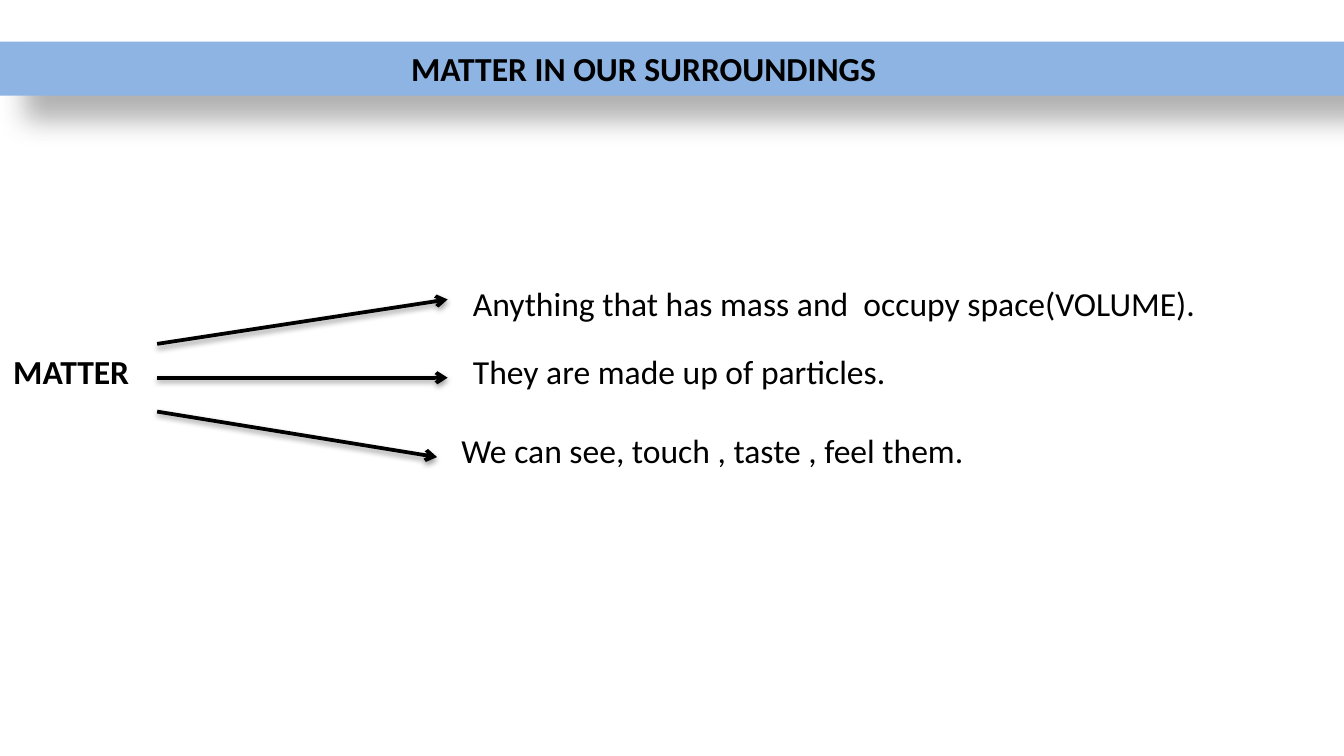
from dataclasses import dataclass

from lxml.etree import SubElement
from pptx import Presentation
from pptx.dml.color import RGBColor as RGB
from pptx.enum.shapes import MSO_CONNECTOR as Line, MSO_SHAPE as Shape
from pptx.enum.text import MSO_ANCHOR as Anchor, PP_ALIGN as Align
from pptx.oxml.ns import qn
from pptx.util import Cm, Pt

# Content
TITLE = "MATTER IN OUR SURROUNDINGS"
TOPIC = "MATTER"
# text, left, top, width of its box, then the arrow tip (cm)
FACTS = [
    ("Anything that has mass and  occupy space(VOLUME).", 8.69, 5.23, 15.67, (8.46, 5.66)),
    ("They are made up of particles.", 8.69, 6.5, 15.67, (8.46, 7.14)),
    ("We can see, touch , taste , feel them.", 8.47, 8, 16.08, (8.26, 8.64)),
]


@dataclass(frozen=True)
class Theme:
    font: str = "Calibri"
    size: Pt = Pt(18)
    ink: RGB = RGB(0, 0, 0)
    banner: RGB = RGB(0x8E, 0xB4, 0xE3)
    arrow: Pt = Pt(2)


THEME = Theme()
SLIDE_W, SLIDE_H = 25.4, 14.29
ROW_H = 1.02
TITLE_INDENT = 7.77
ARROW_X, ARROW_Y, ARROW_STEP = 2.97, 6.5, 0.64


def write(sp, text, bold=False):
    tf = sp.text_frame
    tf.word_wrap = True
    p = tf.paragraphs[0]
    p.text = text
    p.alignment = Align.LEFT
    p.font.name, p.font.size, p.font.bold = THEME.font, THEME.size, bold
    p.font.color.rgb = THEME.ink
    return tf


def add_label(text, left, top, width, bold=False):
    box = slide.shapes.add_textbox(Cm(left), Cm(top), Cm(width), Cm(ROW_H))
    write(box, text, bold)


def add_shadow(sp, opacity, blur, distance, angle):
    effects = SubElement(sp._element.spPr, qn("a:effectLst"))
    shadow = SubElement(effects, qn("a:outerShdw"), blurRad=str(Pt(blur)),
                        dist=str(Pt(distance)), dir=str(angle * 60000),
                        algn="tl", rotWithShape="0")
    color = SubElement(shadow, qn("a:srgbClr"), val=str(THEME.ink))
    SubElement(color, qn("a:alpha"), val=str(opacity * 1000))


def add_arrow(start, tip):
    arrow = slide.shapes.add_connector(Line.STRAIGHT, *map(Cm, start + tip))
    arrow.line.color.rgb = THEME.ink
    arrow.line.width = THEME.arrow
    SubElement(arrow.line._get_or_add_ln(), qn("a:tailEnd"), type="arrow")
    add_shadow(arrow, 38, 3.1, 1.6, 90)


prs = Presentation()
prs.slide_width, prs.slide_height = Cm(SLIDE_W), Cm(SLIDE_H)
slide = prs.slides.add_slide(prs.slide_layouts[6])

# Topic, with one arrow to each fact
add_label(TOPIC, 0, 6.5, 6.99, bold=True)
for i, (text, left, top, width, tip) in enumerate(FACTS):
    add_arrow((ARROW_X, ARROW_Y + i * ARROW_STEP), tip)
    add_label(text, left, top, width)

# Title banner
banner = slide.shapes.add_shape(Shape.RECTANGLE, 0, Cm(0.79), Cm(SLIDE_W), Cm(ROW_H))
banner.fill.solid()
banner.fill.fore_color.rgb = THEME.banner
banner.line.fill.background()
add_shadow(banner, 30, 15, 18, 45)
tf = write(banner, TITLE, bold=True)
tf.margin_left = Cm(TITLE_INDENT)
tf.vertical_anchor = Anchor.TOP

prs.save("out.pptx")
